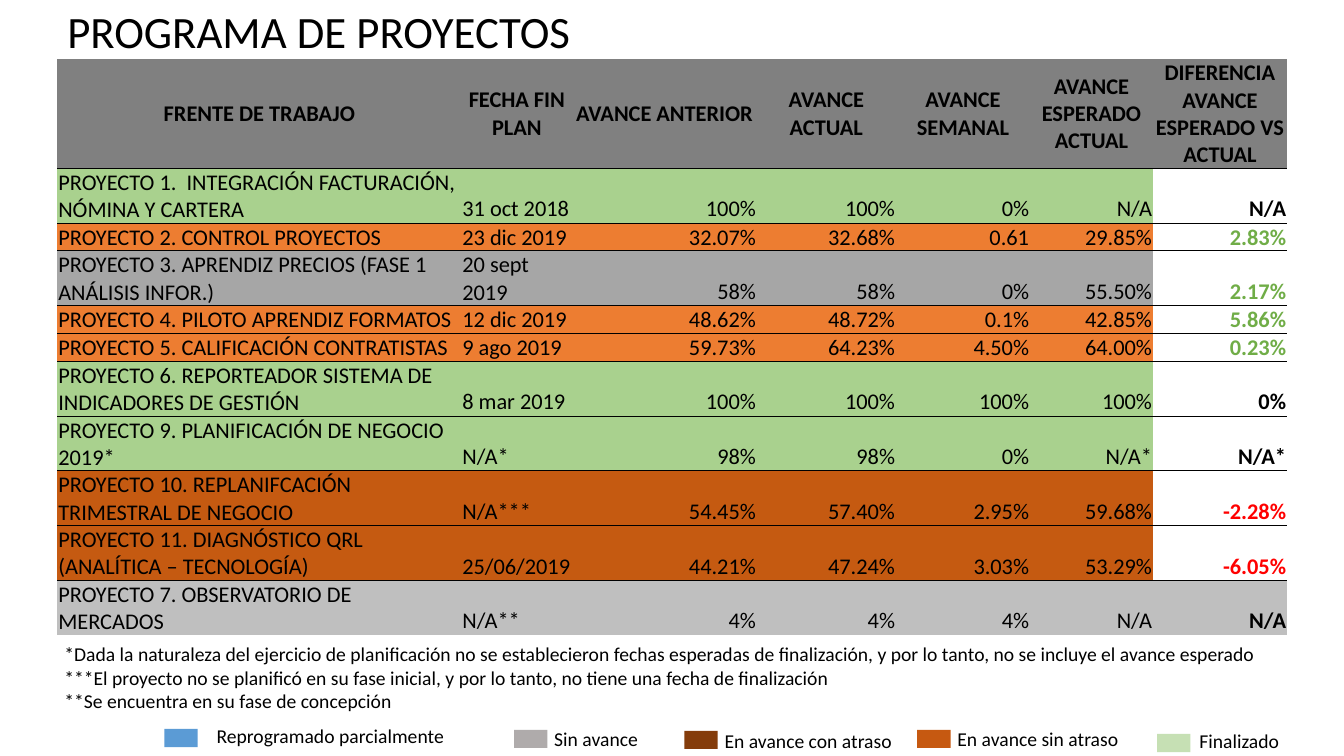
from lxml import etree
from pptx import Presentation
from pptx.dml.color import RGBColor
from pptx.enum.shapes import MSO_SHAPE as Preset
from pptx.enum.text import MSO_ANCHOR as Anchor, PP_ALIGN as Align
from pptx.oxml.ns import qn
from pptx.util import Pt

FONT = "Calibri"
COLORS = {
    "text": "000000", "header": "808080", "white": "FFFFFF",
    "finished": "A9D18E", "on_time": "ED7D31", "stalled": "A6A6A6",
    "late": "C55A11", "concept": "BFBFBF",
    "positive": "70AD47", "negative": "FF0000",
    "legend_rescheduled": "5B9BD5", "legend_stalled": "AFABAB",
    "legend_late": "843C0B", "legend_on_time": "C65911", "legend_finished": "C6E0B4",
}
NO_STYLE = "{2D5ABB26-0587-4C30-8999-92F81FD0307C}"
COLUMN_WIDTHS = [288.6, 79.2, 131.8, 99.4, 95.8, 87.8, 95.8]
HEADER_HEIGHT, LINE_HEIGHT = 78.3, 19.55
HEADERS = ["FRENTE DE TRABAJO", "FECHA FIN PLAN", "AVANCE ANTERIOR", "AVANCE ACTUAL",
           "AVANCE SEMANAL", "AVANCE ESPERADO ACTUAL",
           "DIFERENCIA AVANCE ESPERADO VS ACTUAL"]
PROJECTS = [
    ("finished", "text", 2, ["PROYECTO 1.  INTEGRACIÓN FACTURACIÓN, NÓMINA Y CARTERA",
                             "31 oct 2018", "100%", "100%", "0%", "N/A", "N/A"]),
    ("on_time", "positive", 1, ["PROYECTO 2. CONTROL PROYECTOS",
                                "23 dic 2019", "32.07%", "32.68%", "0.61", "29.85%", "2.83%"]),
    ("stalled", "positive", 2, ["PROYECTO 3. APRENDIZ PRECIOS (FASE 1 ANÁLISIS INFOR.)",
                                "20 sept 2019", "58%", "58%", "0%", "55.50%", "2.17%"]),
    ("on_time", "positive", 1, ["PROYECTO 4. PILOTO APRENDIZ FORMATOS",
                                "12 dic 2019", "48.62%", "48.72%", "0.1%", "42.85%", "5.86%"]),
    ("on_time", "positive", 1, ["PROYECTO 5. CALIFICACIÓN CONTRATISTAS",
                                "9 ago 2019", "59.73%", "64.23%", "4.50%", "64.00%", "0.23%"]),
    ("finished", "text", 2, ["PROYECTO 6. REPORTEADOR SISTEMA DE INDICADORES DE GESTIÓN",
                             "8 mar 2019", "100%", "100%", "100%", "100%", "0%"]),
    ("finished", "text", 2, ["PROYECTO 9. PLANIFICACIÓN DE NEGOCIO 2019*",
                             "N/A*", "98%", "98%", "0%", "N/A*", "N/A*"]),
    ("late", "negative", 2, ["PROYECTO 10. REPLANIFCACIÓN TRIMESTRAL DE NEGOCIO",
                             "N/A***", "54.45%", "57.40%", "2.95%", "59.68%", "-2.28%"]),
    ("late", "negative", 2, ["PROYECTO 11. DIAGNÓSTICO QRL (ANALÍTICA – TECNOLOGÍA)",
                             "25/06/2019", "44.21%", "47.24%", "3.03%", "53.29%", "-6.05%"]),
    ("concept", "text", 2, ["PROYECTO 7. OBSERVATORIO DE MERCADOS",
                            "N/A**", "4%", "4%", "4%", "N/A", "N/A"]),
]
NOTES = [
    "*Dada la naturaleza del ejercicio de planificación no se establecieron fechas esperadas "
    "de finalización, y por lo tanto, no se incluye el avance esperado",
    "***El proyecto no se planificó en su fase inicial, y por lo tanto, no tiene una fecha "
    "de finalización",
    "**Se encuentra en su fase de concepción",
]
LEGEND = [
    ("legend_rescheduled", "Reprogramado parcialmente", (0, 7.2), (30.2, 0), 214),
    ("legend_stalled", "Sin avance", (249.8, 7.9), (271.4, 2.2), 94),
    ("legend_late", "En avance con atraso", (371.5, 8.6), (393.1, 3.6), 139),
    ("legend_on_time", "En avance sin atraso", (537.8, 7.9), (559.4, 2.2), 139),
    ("legend_finished", "Finalizado", (709.2, 10.8), (732.2, 3.6), 73),
]


def rgb(name):
    """Return the named colour."""
    return RGBColor.from_string(COLORS[name])


def style_paragraph(paragraph, size, color="text", bold=False):
    """Format every run of a paragraph."""
    for run in paragraph.runs:
        run.font.name = FONT
        run.font.size = Pt(size)
        run.font.bold = bold
        run.font.color.rgb = rgb(color)


def add_text(slide, box, lines, size):
    """Place wrapped text lines in a box."""
    shape = slide.shapes.add_textbox(*map(Pt, box))
    shape.text_frame.word_wrap = True
    shape.text_frame.text = "\n".join(lines)
    for paragraph in shape.text_frame.paragraphs:
        style_paragraph(paragraph, size)


def add_border(cell, side):
    """Draw a thin line along one side of a cell."""
    line = etree.SubElement(cell._tc.get_or_add_tcPr(), qn(f"a:{side}"), w=str(Pt(0.5)))
    fill = etree.SubElement(line, qn("a:solidFill"))
    etree.SubElement(fill, qn("a:srgbClr"), val=COLORS["text"])


def fill_cell(cell, text, fill, color, bold, align, anchor, sides):
    """Write and format one table cell."""
    cell.margin_left = cell.margin_right = cell.margin_top = Pt(0.7)
    cell.margin_bottom = 0
    cell.vertical_anchor = anchor
    for side in sides:
        add_border(cell, side)
    cell.fill.solid()
    cell.fill.fore_color.rgb = rgb(fill)
    cell.text_frame.text = text
    paragraph = cell.text_frame.paragraphs[0]
    paragraph.alignment = align
    style_paragraph(paragraph, 16, color, bold)


def add_project_table(slide, box):
    """Place the table of projects and their progress."""
    frame = slide.shapes.add_table(len(PROJECTS) + 1, len(HEADERS), *map(Pt, box))
    table = frame.table
    table.horz_banding = table.first_row = False
    table._tbl.tblPr.find(qn("a:tableStyleId")).text = NO_STYLE
    for column, width in zip(table.columns, COLUMN_WIDTHS):
        column.width = Pt(width)
    table.rows[0].height = Pt(HEADER_HEIGHT)
    for index, header in enumerate(HEADERS):
        fill_cell(table.cell(0, index), header, "header", "text", True,
                  Align.CENTER, Anchor.MIDDLE, ["lnB"])
    last = len(HEADERS) - 1
    for row, (status, trend, lines, values) in enumerate(PROJECTS, 1):
        table.rows[row].height = Pt(lines * LINE_HEIGHT)
        sides = ["lnT", "lnB"] if row < len(PROJECTS) else ["lnT"]
        for index, value in enumerate(values):
            is_difference = index == last
            fill = "white" if is_difference and status != "concept" else status
            fill_cell(table.cell(row, index), value, fill,
                      trend if is_difference else "text", is_difference,
                      Align.LEFT if index < 2 else Align.RIGHT, Anchor.BOTTOM, sides)


def add_legend(slide, left, top):
    """Place the colour swatches and their labels."""
    for color, label, swatch, text, width in LEGEND:
        shape = slide.shapes.add_shape(Preset.RECTANGLE, Pt(left + swatch[0]),
                                       Pt(top + swatch[1]), Pt(23.8), Pt(13))
        shape.shadow.inherit = False
        shape.fill.solid()
        shape.fill.fore_color.rgb = rgb(color)
        shape.line.fill.background()
        add_text(slide, (left + text[0], top + text[1], width, 24), [label], 14)


def main():
    """Build and save the project programme slide."""
    presentation = Presentation()
    presentation.slide_width, presentation.slide_height = Pt(960), Pt(540)
    slide = presentation.slides.add_slide(presentation.slide_layouts[6])
    add_text(slide, (41, -0.7, 560, 46), ["PROGRAMA DE PROYECTOS"], 32)
    add_project_table(slide, (41, 41.8, 878.4, 411))
    add_text(slide, (38.9, 455, 878.4, 58), NOTES, 14)
    add_legend(slide, 117.4, 513.4)
    presentation.save("out.pptx")


if __name__ == "__main__":
    main()
